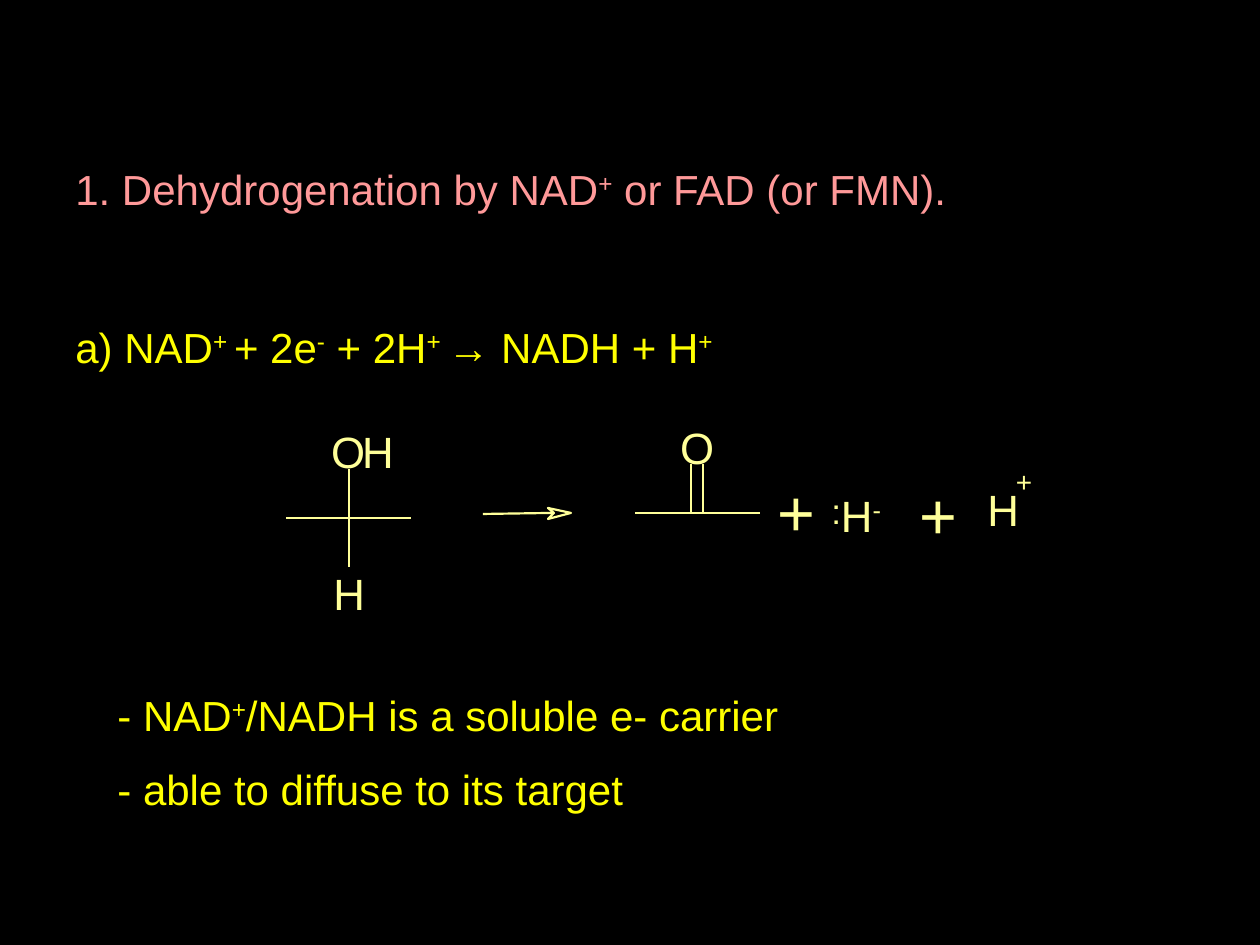
from typing import NamedTuple

import pptx
import pptx.dml.color
import pptx.enum.shapes
import pptx.enum.text
import pptx.oxml.ns
import pptx.util
from lxml import etree

BLACK = pptx.dml.color.RGBColor(0x00, 0x00, 0x00)
PINK = pptx.dml.color.RGBColor(0xFF, 0x99, 0x99)
YELLOW = pptx.dml.color.RGBColor(0xFF, 0xFF, 0x00)
CREAM = pptx.dml.color.RGBColor(0xFF, 0xFF, 0x99)
LINE_WIDTH = pptx.util.Pt(1.25)
EMU_PER_PX = 914400 / 126


class Statement(NamedTuple):
    """Wrapped text; superscripts stand between bars."""
    left: int
    top: int
    width: int
    height: int
    lines: tuple[str, ...]
    color: pptx.dml.color.RGBColor = YELLOW
    size: int = 24


class Symbol(NamedTuple):
    """Chemical symbol or sign, centred in a tight box."""
    left: int
    top: int
    width: int
    height: int
    text: str
    size: int = 25


class Bond(NamedTuple):
    x1: int
    y1: int
    x2: int
    y2: int


STATEMENTS = [
    Statement(63, 157, 935, 84, ("1. Dehydrogenation by NAD|+| or FAD (or FMN).",), PINK),
    Statement(63, 315, 1144, 63, ("a) NAD|+ |+ 2e|-| + 2H|+ |→ NADH + H|+",)),
    Statement(819, 483, 32, 54, (":",), CREAM, 20),
    Statement(105, 683, 1102, 139, ("- NAD|+|/NADH is a soluble e- carrier",
                                    "- able to diffuse to its target")),
]
SYMBOLS = [
    # Alcohol
    Symbol(331, 425, 34, 53, "O"),
    Symbol(362, 425, 32, 53, "H"),
    Symbol(333, 567, 32, 53, "H"),
    # Ketone
    Symbol(680, 421, 34, 53, "O"),
    # Hydride and proton
    Symbol(777, 472, 38, 78, "+", 37),
    Symbol(840, 489, 42, 53, "H|-"),
    Symbol(919, 475, 38, 78, "+", 37),
    Symbol(987, 483, 32, 53, "H"),
    Symbol(1016, 465, 16, 34, "+", 16),
]
BONDS = [
    # Alcohol: four bonds from the central carbon
    *(Bond(349, 518, x, y) for x, y in ((349, 469), (349, 567), (411, 518), (286, 518))),
    # Ketone: two single bonds and one double bond
    *(Bond(697, 513, x, 513) for x in (635, 760)),
    *(Bond(x, 512, x, 464) for x in (691, 703)),
    # Shaft of the reaction arrow
    Bond(483, 514, 548, 513),
]
ARROWHEAD = [(548, 513), (554, 513), (548, 508), (571, 513), (548, 519), (554, 513)]


def px(length: int) -> pptx.util.Emu:
    return pptx.util.Emu(round(length * EMU_PER_PX))


def write(para, marked: str, size: int, color: pptx.dml.color.RGBColor) -> None:
    for index, piece in enumerate(marked.split("|")):
        if not piece:
            continue
        span = para.add_run()
        span.text = piece
        span.font.name = "Arial"
        span.font.size = pptx.util.Pt(size)
        span.font.color.rgb = color
        if index % 2:
            span._r.get_or_add_rPr().set("baseline", "30000")


def draw_statement(page, item: Statement) -> None:
    box = page.shapes.add_textbox(*map(px, item[:4]))
    frame = box.text_frame
    frame.word_wrap = True
    for index, line in enumerate(item.lines):
        para = frame.add_paragraph() if index else frame.paragraphs[0]
        if index:
            para.space_before = pptx.util.Pt(13.5)
        write(para, line, item.size, item.color)


def draw_symbol(page, item: Symbol) -> None:
    box = page.shapes.add_textbox(*map(px, item[:4]))
    frame = box.text_frame
    frame.word_wrap = False
    frame.auto_size = pptx.enum.text.MSO_AUTO_SIZE.SHAPE_TO_FIT_TEXT
    frame.margin_left = frame.margin_right = frame.margin_top = frame.margin_bottom = 0
    para = frame.paragraphs[0]
    para.alignment = pptx.enum.text.PP_ALIGN.CENTER
    write(para, item.text, item.size, CREAM)


def draw_bond(page, bond: Bond) -> None:
    line = page.shapes.add_connector(
        pptx.enum.shapes.MSO_CONNECTOR.STRAIGHT, *map(px, bond))
    line.line.color.rgb = CREAM
    line.line.width = LINE_WIDTH
    etree.SubElement(line._element.spPr, pptx.oxml.ns.qn("a:effectLst"))


def draw_arrowhead(page, points: list[tuple[int, int]]) -> None:
    builder = page.shapes.build_freeform(*points[0], scale=EMU_PER_PX)
    builder.add_line_segments(points[1:], close=True)
    head = builder.convert_to_shape()
    head.shadow.inherit = False
    head.fill.solid()
    head.fill.fore_color.rgb = BLACK
    head.line.color.rgb = CREAM
    head.line.width = LINE_WIDTH


def main() -> None:
    deck = pptx.Presentation()
    deck.slide_width, deck.slide_height = px(1260), px(945)
    page = deck.slides.add_slide(deck.slide_layouts[6])
    page.background.fill.solid()
    page.background.fill.fore_color.rgb = BLACK

    # Text
    for statement in STATEMENTS:
        draw_statement(page, statement)

    # Reaction scheme
    for symbol in SYMBOLS:
        draw_symbol(page, symbol)
    for bond in BONDS:
        draw_bond(page, bond)
    draw_arrowhead(page, ARROWHEAD)

    deck.save("out.pptx")


if __name__ == "__main__":
    main()
